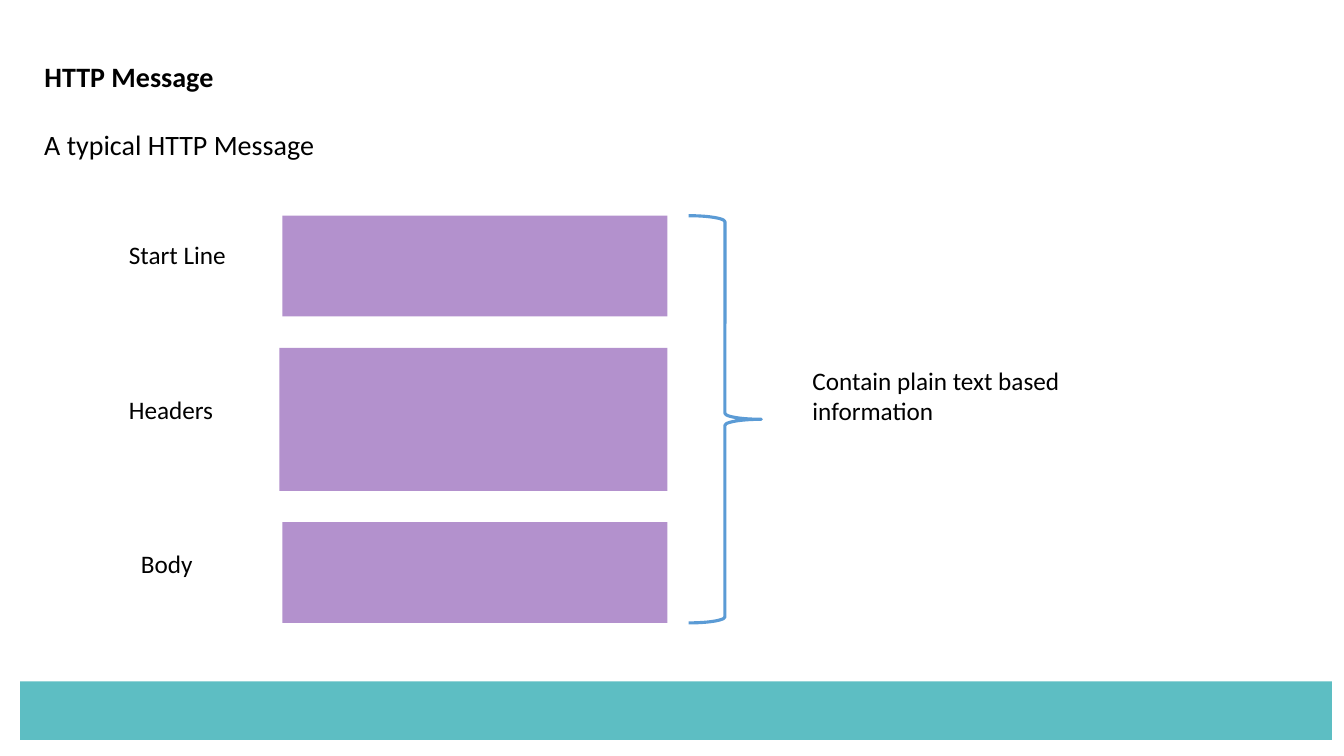
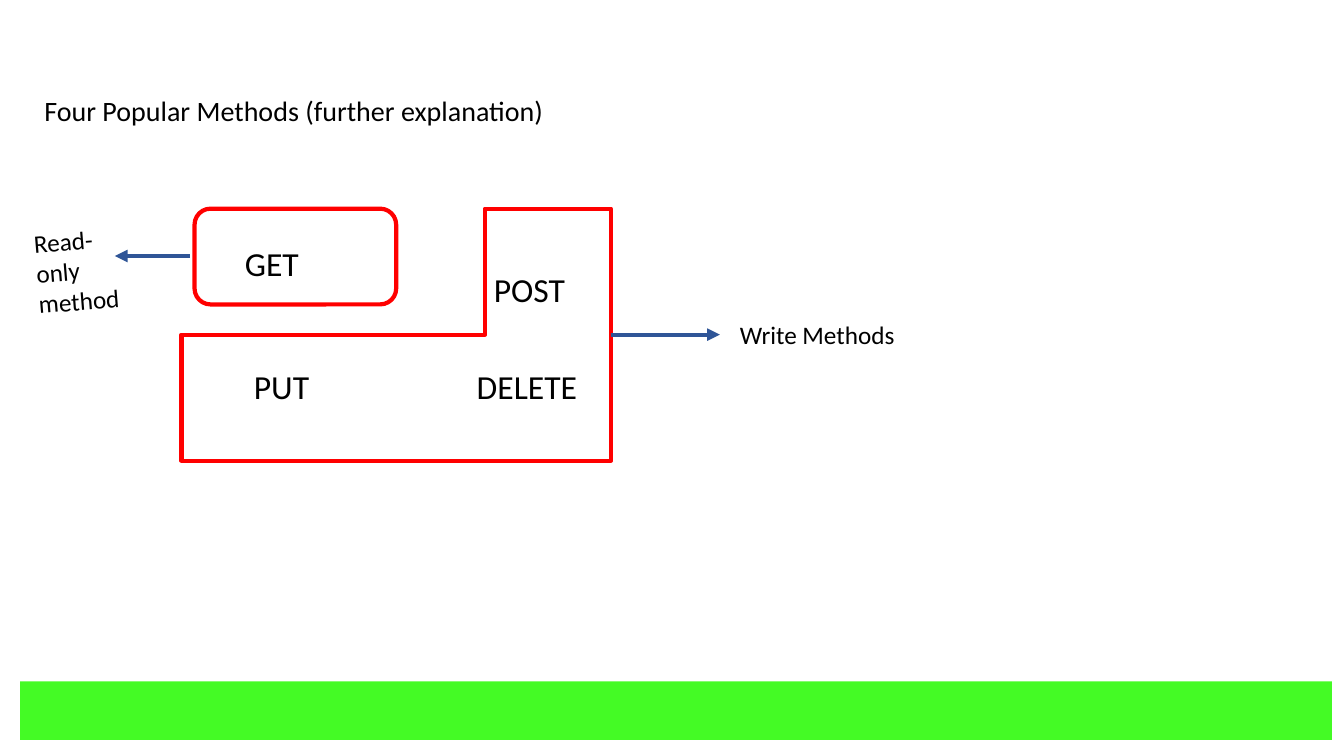
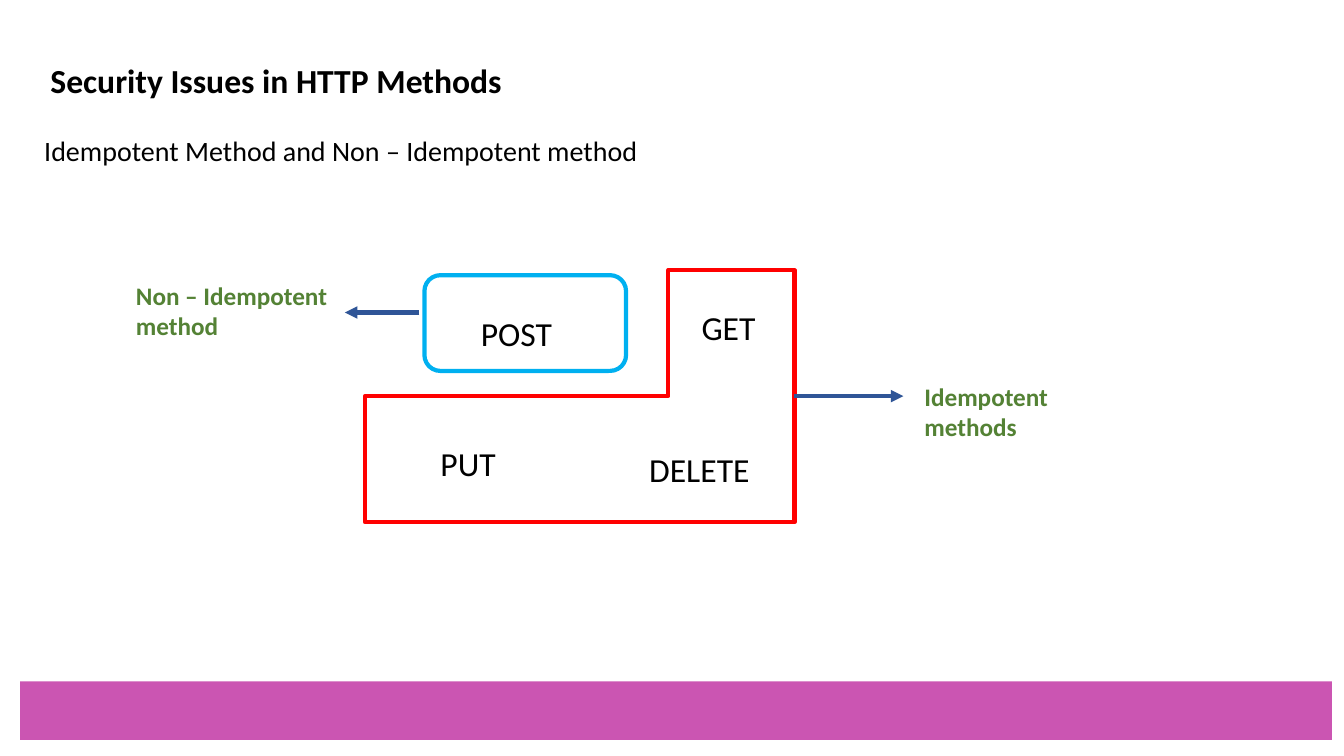
from dataclasses import dataclass

from lxml import etree
from pptx import Presentation
from pptx.dml.color import RGBColor
from pptx.enum.shapes import MSO_CONNECTOR as Connector, MSO_SHAPE as Preset
from pptx.enum.text import MSO_ANCHOR as Anchor, MSO_AUTO_SIZE as AutoSize, PP_ALIGN as Align
from pptx.oxml.ns import qn
from pptx.shapes.autoshape import Shape
from pptx.slide import Slide
from pptx.util import Inches, Pt

BLACK = RGBColor(0x00, 0x00, 0x00)
TEAL = RGBColor(0x5D, 0xBE, 0xC3)
LIME = RGBColor(0x44, 0xFB, 0x25)
MAGENTA = RGBColor(0xCB, 0x55, 0xB2)
LILAC = RGBColor(0xB3, 0x91, 0xCD)
BRACE_BLUE = RGBColor(0x5B, 0x9B, 0xD5)
ARROW_BLUE = RGBColor(0x2F, 0x55, 0x97)
SKY = RGBColor(0x00, 0xB0, 0xF0)
RED = RGBColor(0xFF, 0x00, 0x00)
GREEN = RGBColor(0x54, 0x82, 0x35)

FONT = "Calibri"
MARGIN = 0.34
TITLE_WIDTH = 12.51
OUTLINE = 3.0


@dataclass(frozen=True)
class Label:
    text: str
    left: float
    top: float
    width: float
    height: float = 0.4
    size: int = 18
    bold: bool = False
    color: RGBColor = BLACK
    rotation: float = 0


@dataclass(frozen=True)
class MessagePart:
    left: float
    top: float
    height: float
    label: Label


@dataclass(frozen=True)
class MethodDiagram:
    """An L-shaped group of methods beside one method set apart."""
    left: float
    top: float
    single_left: float
    single_top: float
    single_color: RGBColor
    single_arrow_top: float
    labels: tuple[Label, ...]


def style_text(shape: Shape, label: Label) -> None:
    frame = shape.text_frame
    frame.text = label.text
    frame.word_wrap = True
    frame.auto_size = AutoSize.NONE
    frame.vertical_anchor = Anchor.TOP
    paragraph = frame.paragraphs[0]
    paragraph.alignment = Align.LEFT
    paragraph.font.name = FONT
    paragraph.font.size = Pt(label.size)
    paragraph.font.bold = label.bold
    paragraph.font.color.rgb = label.color


def add_label(slide: Slide, label: Label) -> None:
    box = slide.shapes.add_textbox(Inches(label.left), Inches(label.top),
                                   Inches(label.width), Inches(label.height))
    box.rotation = label.rotation
    style_text(box, label)


def add_preset(slide: Slide, preset: Preset, left: float, top: float, width: float, height: float,
               fill: RGBColor | None = None, line: RGBColor | None = None,
               line_width: float = OUTLINE) -> Shape:
    shape = slide.shapes.add_shape(preset, Inches(left), Inches(top), Inches(width), Inches(height))
    shape.shadow.inherit = False
    if fill is None:
        shape.fill.background()
    else:
        shape.fill.solid()
        shape.fill.fore_color.rgb = fill
    if line is None:
        shape.line.fill.background()
    else:
        shape.line.color.rgb = line
        shape.line.width = Pt(line_width)
    return shape


def add_arrow(slide: Slide, start: float, end: float, top: float) -> None:
    arrow = slide.shapes.add_connector(Connector.STRAIGHT, Inches(start), Inches(top),
                                       Inches(end), Inches(top))
    arrow.line.color.rgb = ARROW_BLUE
    arrow.line.width = Pt(OUTLINE)
    properties = arrow.element.spPr
    etree.SubElement(properties.find(qn("a:ln")), qn("a:tailEnd"), type="triangle")
    etree.SubElement(properties, qn("a:effectLst"))


def add_titled_slide(presentation: Presentation, title: Label, band_color: RGBColor) -> Slide:
    slide = presentation.slides.add_slide(presentation.slide_layouts[5])
    placeholder = slide.shapes.title
    placeholder.left, placeholder.top = Inches(title.left), Inches(title.top)
    placeholder.width, placeholder.height = Inches(title.width), Inches(title.height)
    style_text(placeholder, title)
    add_preset(slide, Preset.RECTANGLE, 0.2, 6.76, 13.01, 0.58, fill=band_color)
    return slide


def add_method_diagram(slide: Slide, diagram: MethodDiagram) -> None:
    width, height = 4.26, 2.5
    corner = add_preset(slide, Preset.CORNER, diagram.left, diagram.top, width, height, line=RED)
    corner.element.spPr.find(qn("a:xfrm")).set("flipH", "1")
    add_preset(slide, Preset.ROUNDED_RECTANGLE, diagram.single_left, diagram.single_top, 2, 0.95,
               line=diagram.single_color)

    # Arrows out to the two explanations
    right = diagram.left + width
    add_arrow(slide, right, right + 1.08, diagram.top + height / 2)
    single_edge = diagram.single_left - 0.05
    add_arrow(slide, single_edge, single_edge - 0.74, diagram.single_arrow_top)

    for label in diagram.labels:
        add_label(slide, label)


def build_message_slide(presentation: Presentation) -> None:
    slide = add_titled_slide(
        presentation, Label("HTTP Message", MARGIN, 0.54, TITLE_WIDTH, 0.44, 20, True), TEAL)
    add_label(slide, Label("A typical HTTP Message", MARGIN, 1.22, TITLE_WIDTH, 0.44, 20))

    # Message parts, aligned at the right
    parts_right = 6.62
    parts = (
        MessagePart(2.8, 2.14, 1, Label("Start Line", 1.18, 2.33, 1.27)),
        MessagePart(2.77, 3.45, 1.42, Label("Headers", 1.18, 3.86, 1.16)),
        MessagePart(2.8, 5.18, 1, Label("Body", 1.3, 5.39, 0.93)),
    )
    for part in parts:
        add_preset(slide, Preset.RECTANGLE, part.left, part.top, parts_right - part.left,
                   part.height, fill=LILAC)
        add_label(slide, part.label)

    # Brace over all parts
    first, last = parts[0], parts[-1]
    add_preset(slide, Preset.RIGHT_BRACE, 6.83, first.top, 0.72,
               last.top + last.height - first.top, line=BRACE_BLUE, line_width=2.25)
    add_label(slide, Label("Contain plain text based information", 7.96, 3.57, 3.69, 0.71))


def build_read_write_slide(presentation: Presentation) -> None:
    title = Label("Four Popular Methods (further explanation)", MARGIN, 0.88, TITLE_WIDTH, 0.44, 20)
    slide = add_titled_slide(presentation, title, LIME)
    add_method_diagram(slide, MethodDiagram(1.8, 2.07, 1.93, 2.07, RED, 2.54, (
        Label("GET", 2.33, 2.36, 1.28, 0.5, 24),
        Label("POST", 4.8, 2.62, 1.56, 0.5, 24),
        Label("PUT", 2.42, 3.58, 0.8, 0.5, 24),
        Label("DELETE", 4.63, 3.58, 1.31, 0.5, 24),
        Label("Write Methods", 7.24, 3.12, 1.97),
        Label("Read-only method", 0.26, 2.18, 1.03, 1.01, rotation=355.4),
    )))


def build_idempotent_slide(presentation: Presentation) -> None:
    title = Label("Security Issues in HTTP Methods", 0.4, 0.54, TITLE_WIDTH, 0.5, 24, True)
    slide = add_titled_slide(presentation, title, MAGENTA)
    add_label(slide, Label("Idempotent Method and Non – Idempotent method",
                           MARGIN, 1.28, TITLE_WIDTH, 0.44, 20))
    add_method_diagram(slide, MethodDiagram(3.62, 2.68, 4.21, 2.73, SKY, 3.1, (
        Label("POST", 4.67, 3.06, 1.28, 0.5, 24),
        Label("GET", 6.86, 3, 0.8, 0.5, 24),
        Label("PUT", 4.27, 4.34, 0.8, 0.5, 24),
        Label("DELETE", 6.34, 4.4, 1.31, 0.5, 24),
        Label("Idempotent methods", 9.07, 3.73, 1.97, 0.71, bold=True, color=GREEN),
        Label("Non – Idempotent method", 1.25, 2.73, 2.46, 0.71, bold=True, color=GREEN),
    )))


def main() -> None:
    presentation = Presentation()
    presentation.slide_width = Inches(13.33)
    presentation.slide_height = Inches(7.5)
    build_message_slide(presentation)
    build_read_write_slide(presentation)
    build_idempotent_slide(presentation)
    presentation.save("out.pptx")


if __name__ == "__main__":
    main()
